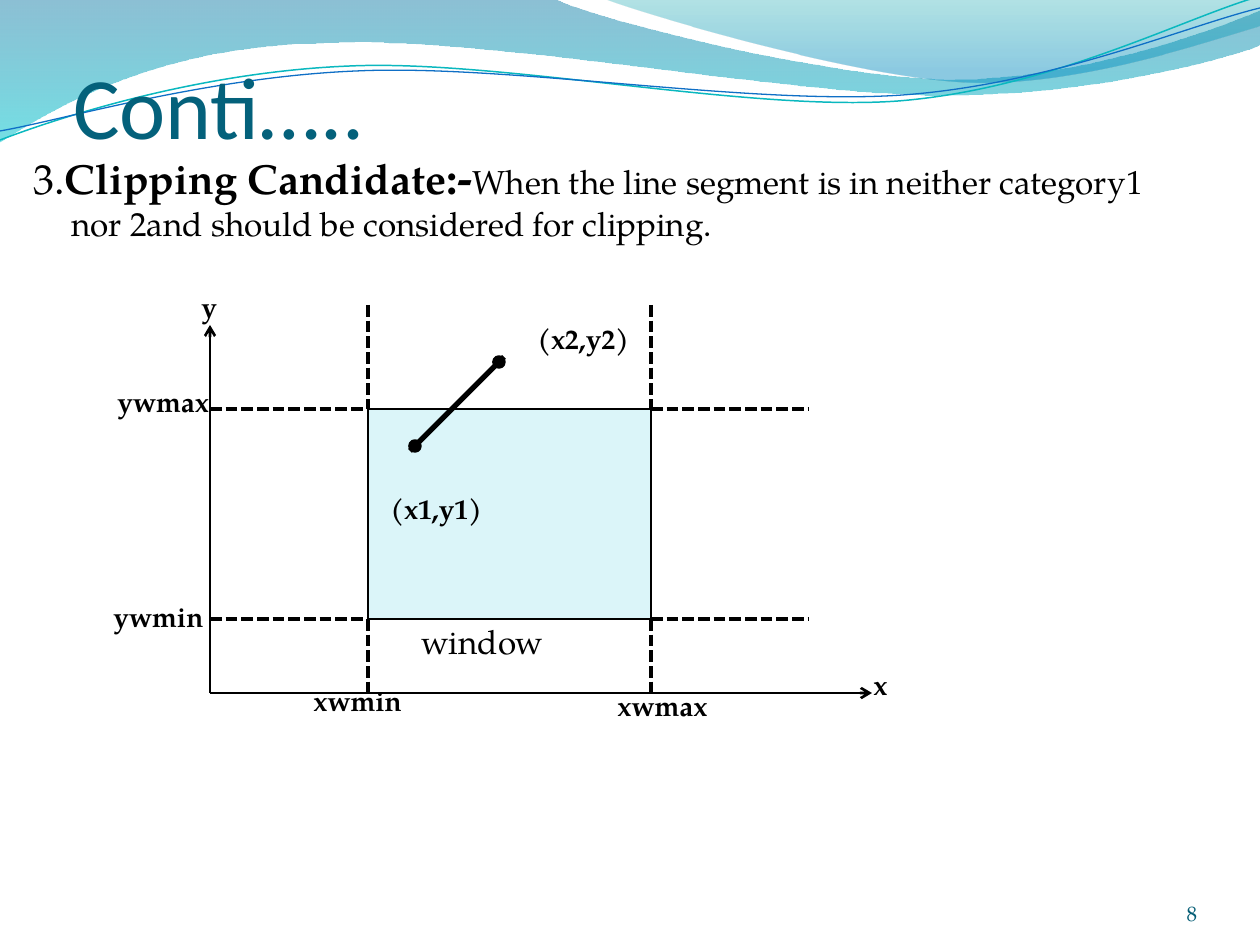
from dataclasses import dataclass

from lxml.etree import SubElement
from pptx import Presentation
from pptx.dml.color import RGBColor
from pptx.enum.dml import MSO_LINE_DASH_STYLE as Dash
from pptx.enum.shapes import MSO_CONNECTOR as Connector, MSO_SHAPE as Preset
from pptx.enum.text import MSO_ANCHOR as Anchor, MSO_AUTO_SIZE as AutoSize, PP_ALIGN as Align
from pptx.oxml.ns import qn
from pptx.util import Pt

SCALE = 914400 / 126


@dataclass(frozen=True)
class Theme:
    heading_font: str = "Calibri"
    body_font: str = "TeX Gyre Pagella"
    title: str = "04617B"
    number: str = "045D75"
    ink: str = "000000"
    window: str = "DBF5F9"
    wave_teal: str = "0AB8BF"
    wave_blue: str = "0F6FC6"
    broad_wave: tuple = ((0, "0074A1", 45), (1, "00C6CF", 55))
    corner_wave: tuple = ((0, "00A1A9", 30), (0.8, "008BBF", 45))
    title_size: int = 50
    term_size: int = 24
    colon_size: int = 26
    body_size: int = 19
    label_size: int = 16
    number_size: int = 12


THEME = Theme()


def px(value):
    return round(value * SCALE)


def color(value):
    return RGBColor.from_string(value)


def write_text(paragraph, text, size, font=THEME.body_font, ink=THEME.ink, bold=False):
    run = paragraph.add_run()
    run.text = text
    run.font.size = Pt(size)
    run.font.name = font
    run.font.color.rgb = color(ink)
    run.font.bold = bold


def add_text_box(slide, left, top, width, height):
    shape = slide.shapes.add_textbox(px(left), px(top), px(width), px(height))
    shape.text_frame.word_wrap = True
    return shape.text_frame


def set_indent(paragraph, left, first_line):
    properties = paragraph._p.get_or_add_pPr()
    properties.set("marL", str(px(left)))
    properties.set("indent", str(px(first_line)))


def add_line(slide, start, end, width, dash=None, arrow=False):
    shape = slide.shapes.add_connector(
        Connector.STRAIGHT, *(px(value) for value in (*start, *end)))
    shape.line.color.rgb = color(THEME.ink)
    shape.line.width = Pt(width)
    if dash:
        shape.line.dash_style = dash
    if arrow:
        SubElement(shape.line._get_or_add_ln(), qn("a:tailEnd"), type="arrow")
    SubElement(shape.element.spPr, qn("a:effectLst"))


def add_filled(slide, preset, left, top, width, height, fill, line_width):
    shape = slide.shapes.add_shape(preset, px(left), px(top), px(width), px(height))
    shape.shadow.inherit = False
    shape.fill.solid()
    shape.fill.fore_color.rgb = color(fill)
    shape.line.color.rgb = color(THEME.ink)
    shape.line.width = Pt(line_width)


def bend_segments(shape, segments):
    edges = iter(list(shape.element.spPr.iter(qn("a:lnTo"))))
    for segment in segments:
        group = [next(edges) for _ in segment]
        if len(group) == 3:
            group[0].tag = qn("a:cubicBezTo")
            for edge in group[1:]:
                group[0].append(edge[0])
                edge.getparent().remove(edge)


def add_wave(slide, left, top, start, segments, gradient=None, line=None):
    points = [start, *(point for segment in segments for point in segment)]
    first, *rest = [(px(left + x), px(top + y)) for x, y in points]
    builder = slide.shapes.build_freeform(*first, scale=1.0)
    builder.add_line_segments(rest, close=gradient is not None)
    shape = builder.convert_to_shape()
    bend_segments(shape, segments)
    shape.shadow.inherit = False
    if gradient:
        shape.line.fill.background()
        shape.fill.gradient()
        shape.fill.gradient_angle = 270
        for stop, (position, value, _) in zip(shape.fill.gradient_stops, gradient):
            stop.position = position
            stop.color.rgb = color(value)
        for tint, (_, _, opacity) in zip(shape.element.spPr.iter(qn("a:srgbClr")), gradient):
            SubElement(tint, qn("a:alpha"), val=str(opacity * 1000))
    else:
        shape.fill.background()
        shape.line.color.rgb = color(line[0])
        shape.line.width = Pt(line[1])


def add_wave_header(slide, left, top):
    add_wave(slide, left, top, (0, 0), [
        ((554, -1),),
        ((600, 21), (837, 79), (955, 79)),
        ((1075, 79), (1207, 33), (1260, 11)),
        ((1261, 45),),
        ((1239, 55), (1096, 96), (940, 95)),
        ((784, 95), (481, 35), (324, 43)),
        ((163, 45), (58, 105), (-1, 142)),
        ((0, 0),),
    ], gradient=THEME.broad_wave)
    add_wave(slide, left, top, (604, -1), [
        ((641, 14), (859, 78), (969, 82)),
        ((1079, 86), (1211, 40), (1260, 26)),
        ((1260, 0),),
        ((604, -1),),
    ], gradient=THEME.corner_wave)
    add_wave(slide, left, top, (0, 140), [
        ((60, 117), (199, 72), (349, 66)),
        ((498, 59), (747, 112), (898, 101)),
        ((1049, 89), (1182, 19), (1257, -3)),
    ], line=(THEME.wave_teal, 0.85))
    add_wave(slide, left, top, (0, 131), [
        ((59, 121), (207, 77), (357, 71)),
        ((508, 64), (752, 106), (903, 95)),
        ((1053, 84), (1186, 26), (1260, 8)),
    ], line=(THEME.wave_blue, 0.75))


def place_title(slide, left, top, width, height):
    title = slide.shapes.title
    title.left, title.top, title.width, title.height = map(px, (left, top, width, height))
    frame = title.text_frame
    frame.margin_left = frame.margin_right = frame.margin_bottom = 0
    frame.vertical_anchor = Anchor.BOTTOM
    paragraph = frame.paragraphs[0]
    paragraph.alignment = Align.LEFT
    write_text(paragraph, "Conti…..", THEME.title_size, THEME.heading_font, THEME.title)
    title.element.getparent().append(title.element)


def add_body(slide, left, top, width, height):
    frame = add_text_box(slide, left, top, width, height)
    definition = frame.paragraphs[0]
    set_indent(definition, 38, -38)
    write_text(definition, "3.", THEME.term_size)
    write_text(definition, "Clipping Candidate", THEME.term_size, bold=True)
    write_text(definition, ":-", THEME.colon_size, bold=True)
    write_text(definition, "When the line segment is in neither category1 "
               "nor 2and should be considered for clipping.", THEME.body_size)
    caption = frame.add_paragraph()
    caption.space_before = Pt(216)
    set_indent(caption, 388, 0)
    write_text(caption, "window", THEME.body_size)


def add_clipping_diagram(slide, left, top, width, height):
    def at(x, y):
        return left + x, top + y

    x_min, x_max, y_max, y_min = 158, 441, 104, 314
    dash_end = x_max + x_min
    for tip in ((0, 20), (width, height)):
        add_line(slide, at(0, height), at(*tip), 1.5, arrow=True)
    for x in (x_min, x_max):
        for start, end in ((0, y_max), (y_min, height)):
            add_line(slide, at(x, start), at(x, end), 2.25, Dash.SQUARE_DOT)
    for y in (y_max, y_min):
        for start, end in ((0, x_min), (x_max, dash_end)):
            add_line(slide, at(start, y), at(end, y), 2.25, Dash.SQUARE_DOT)
    add_filled(slide, Preset.RECTANGLE, *at(x_min, y_max),
               x_max - x_min, y_min - y_max, THEME.window, 0.75)
    add_line(slide, at(200, 146), at(294, 52), 3)
    for dot in ((200, 136), (284, 52)):
        add_filled(slide, Preset.OVAL, *at(*dot), 10, 10, THEME.ink, 2)

    labels = (("ywmax", -105, 73), ("ywmin", -109, 288), ("xwmin", 91, 372),
              ("xwmax", 395, 377), ("(x1,y1)", 168, 180), ("(x2,y2)", 315, 10),
              ("y", -21, -22), ("x", 651, 356))
    for text, x, y in labels:
        frame = add_text_box(slide, *at(x, y), 40 if len(text) == 1 else 120, 46)
        frame.auto_size = AutoSize.SHAPE_TO_FIT_TEXT
        write_text(frame.paragraphs[0], text, THEME.label_size, bold=True)


def add_slide_number(slide, left, top, width, height):
    frame = add_text_box(slide, left, top, width, height)
    frame.margin_left = frame.margin_right = frame.margin_top = frame.margin_bottom = 0
    frame.vertical_anchor = Anchor.BOTTOM
    frame.paragraphs[0].alignment = Align.RIGHT
    write_text(frame.paragraphs[0], "8", THEME.number_size, ink=THEME.number)


def main():
    presentation = Presentation()
    presentation.slide_width, presentation.slide_height = px(1260), px(945)
    slide = presentation.slides.add_slide(presentation.slide_layouts[5])
    add_wave_header(slide, 0, 0)
    place_title(slide, 73, 0, 1134, 157)
    add_body(slide, 21, 143, 1187, 746)
    add_clipping_diagram(slide, 210, 305, 662, 388)
    add_slide_number(slide, 1092, 876, 105, 50)
    presentation.save("out.pptx")


if __name__ == "__main__":
    main()
